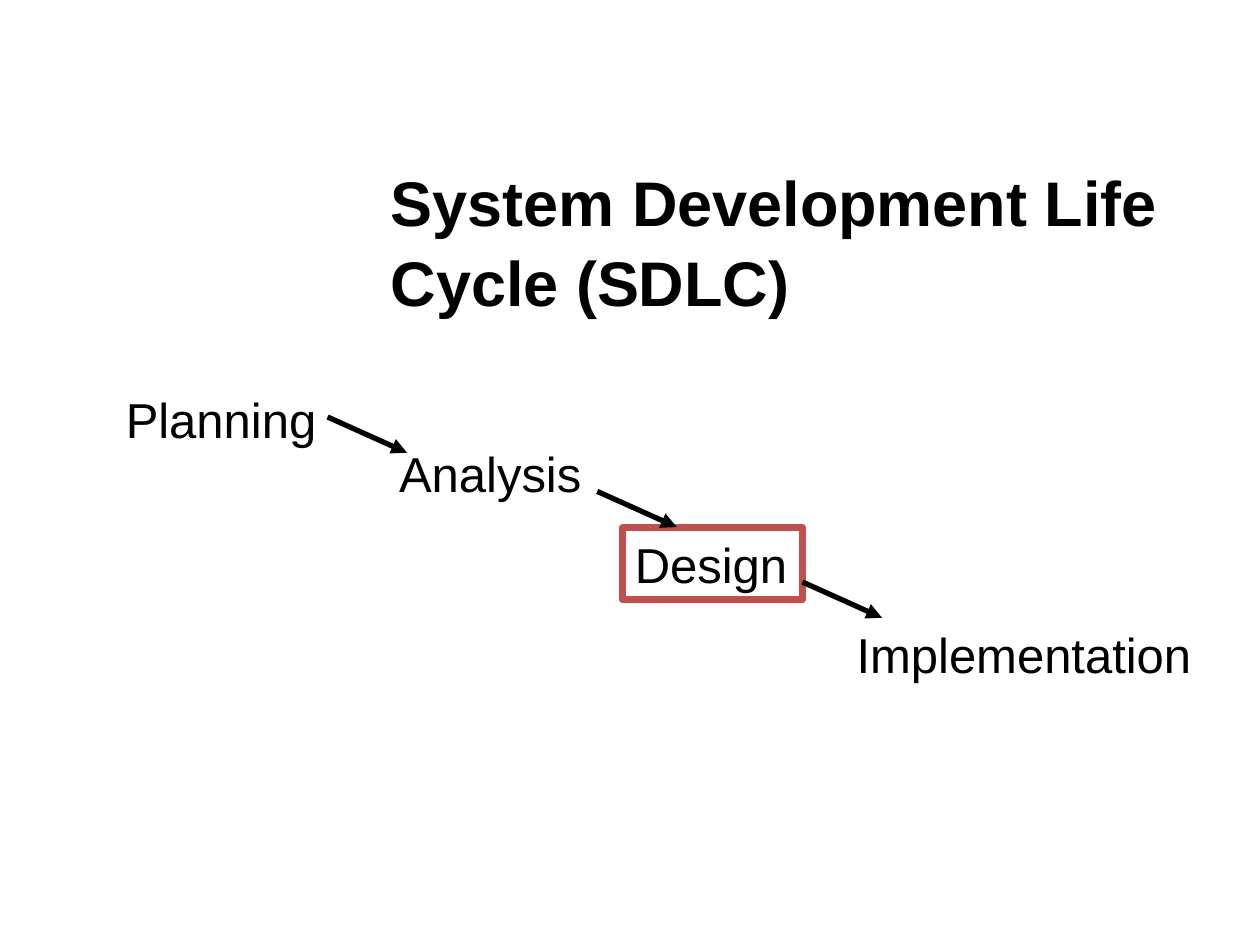
from pptx import Presentation
from pptx.dml.color import RGBColor
from pptx.enum.shapes import MSO_CONNECTOR, MSO_SHAPE
from pptx.enum.text import MSO_ANCHOR, MSO_AUTO_SIZE, PP_ALIGN
from pptx.oxml.ns import qn
from pptx.util import Pt
from lxml.etree import SubElement


def color(hex_value):
    return RGBColor.from_string(hex_value)


def write(frame, text, font="Arial", size=28, ink="000000", bold=False,
          wrap=False, spacing=None, inset=(7.2, 3.6)):
    frame.word_wrap = wrap
    frame.auto_size = MSO_AUTO_SIZE.NONE if wrap else MSO_AUTO_SIZE.SHAPE_TO_FIT_TEXT
    frame.vertical_anchor = MSO_ANCHOR.TOP
    frame.margin_left = frame.margin_right = Pt(inset[0])
    frame.margin_top = frame.margin_bottom = Pt(inset[1])
    paragraph = frame.paragraphs[0]
    paragraph.alignment = PP_ALIGN.LEFT
    paragraph.line_spacing = spacing
    run = paragraph.add_run()
    run.text = text
    run.font.name = font
    run.font.size = Pt(size)
    run.font.bold = bold
    run.font.color.rgb = color(ink)


class Deck:
    ink = "000000"
    highlight = "C0504D"
    arrow_weight = 3
    frame_weight = 4

    def __init__(self, width, height):
        self.presentation = Presentation()
        self.presentation.slide_width = Pt(width)
        self.presentation.slide_height = Pt(height)
        self.slide = self.presentation.slides.add_slide(
            self.presentation.slide_layouts[6])

    def label(self, text, box, **style):
        label = self.slide.shapes.add_textbox(*map(Pt, box))
        write(label.text_frame, text, ink=self.ink, **style)

    def framed_label(self, text, box, **style):
        frame = self.slide.shapes.add_shape(MSO_SHAPE.RECTANGLE, *map(Pt, box))
        frame.shadow.inherit = False
        frame.fill.background()
        frame.line.color.rgb = color(self.highlight)
        frame.line.width = Pt(self.frame_weight)
        write(frame.text_frame, text, ink=self.ink, **style)

    def arrow(self, left, top, run, drop):
        arrow = self.slide.shapes.add_connector(
            MSO_CONNECTOR.STRAIGHT,
            Pt(left), Pt(top), Pt(left + run), Pt(top + drop))
        arrow.line.color.rgb = color(self.ink)
        arrow.line.width = Pt(self.arrow_weight)
        SubElement(arrow.line._get_or_add_ln(), qn("a:tailEnd"), type="triangle")
        SubElement(arrow._element.spPr, qn("a:effectLst"))

    def save(self):
        self.presentation.save("out.pptx")


def main():
    deck = Deck(720, 540)
    deck.label("System Development Life Cycle (SDLC)", (218.2, 86.4, 480.2, 51.1),
               size=36, bold=True, wrap=True, spacing=1.05, inset=(5, 5))

    step_height = 41.2
    planning = (64.8, 218.9, 124.6, step_height)
    analysis = (221, 249.8, 120.2, step_height)
    design = (355.7, 301.7, 103, step_height)
    implementation = (482.4, 353.5, 208.1, step_height)

    deck.label("Planning", planning)
    deck.label("Analysis", analysis)
    deck.framed_label("Design", design)
    deck.label("Implementation", implementation)

    for left, top in ((187.2, 238.3), (341.3, 280.8), (458.6, 332.6)):
        deck.arrow(left, top, run=45.4, drop=20.4)
    deck.save()


if __name__ == "__main__":
    main()
